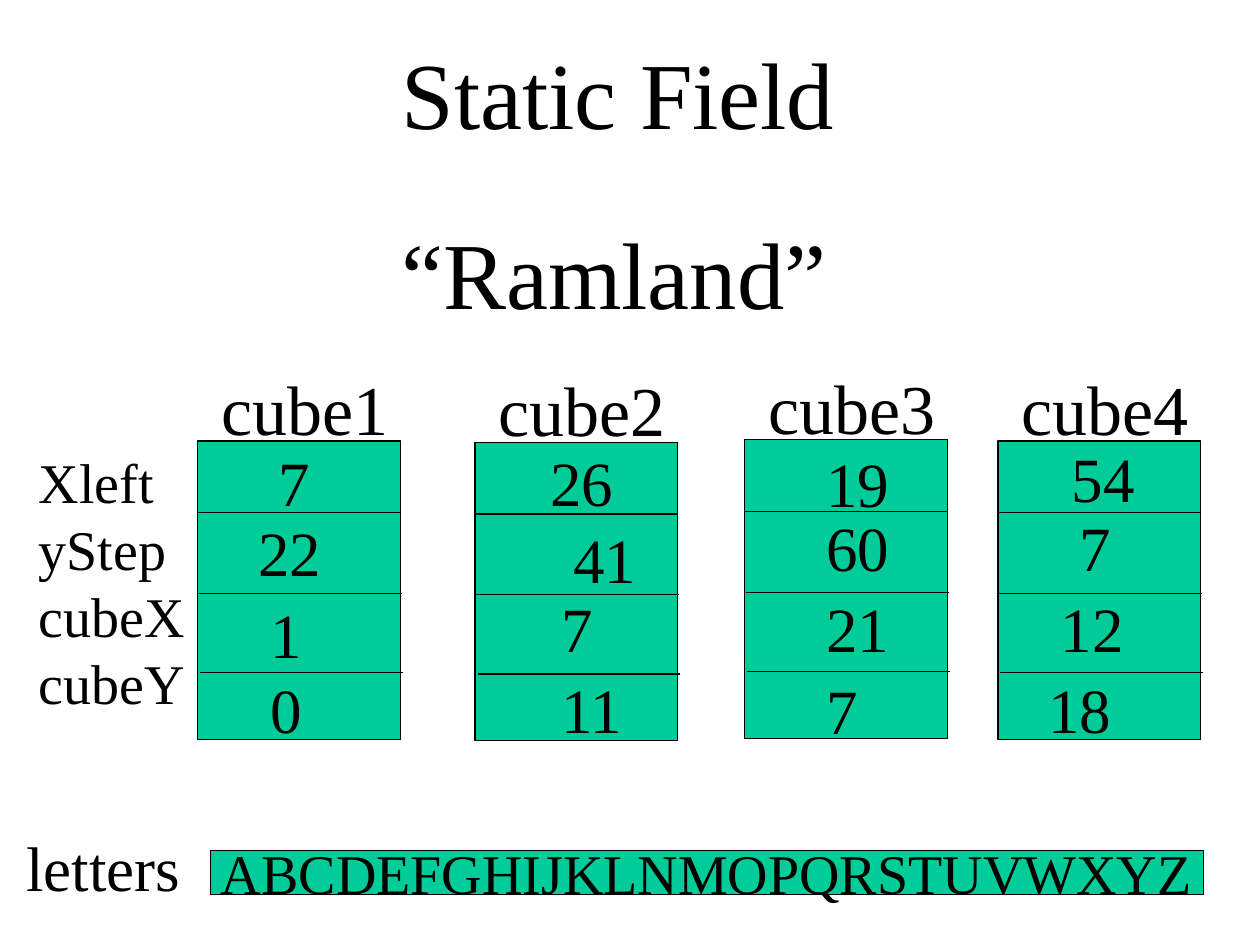
import pptx
import pptx.dml.color
import pptx.enum.shapes
import pptx.enum.text
import pptx.oxml
import pptx.util
from pptx.util import Inches

BLACK = pptx.dml.color.RGBColor(0x00, 0x00, 0x00)
GREEN = pptx.dml.color.RGBColor(0x00, 0xCC, 0x99)
FONT = "Times New Roman"
LINE_WIDTH = pptx.util.Pt(0.75)

CUBE_WIDTH, CUBE_HEIGHT = 1.61, 2.37
DIVIDER_TOPS = (0.57, 1.21, 1.84)
# Name, left and top of each cube, then its fields: value, left and top inside the cube
CUBES = [
    ("cube1", 1.57, 3.5,
     [("7", 0.54, -0.03), ("22", 0.38, 0.53), ("1", 0.48, 1.18), ("0", 0.48, 1.77)]),
    ("cube2", 3.77, 3.51,
     [("26", 0.5, -0.04), ("41", 0.68, 0.57), ("7", 0.59, 1.12), ("11", 0.59, 1.76)]),
    ("cube3", 5.91, 3.49,
     [("19", 0.55, -0.01), ("60", 0.55, 0.5), ("21", 0.55, 1.14), ("7", 0.55, 1.79)]),
    ("cube4", 7.92, 3.5,
     [("54", 0.49, -0.06), ("7", 0.55, 0.49), ("12", 0.4, 1.13), ("18", 0.3, 1.77)]),
]


def write_text(shape, text, size):
    text_frame = shape.text_frame
    text_frame.text = text
    text_frame.word_wrap = False
    for paragraph in text_frame.paragraphs:
        for run in paragraph.runs:
            run.font.name = FONT
            run.font.size = pptx.util.Pt(size)
            run.font.color.rgb = BLACK


def add_label(slide, left, top, width, height, text, size):
    label = slide.shapes.add_textbox(
        Inches(left), Inches(top), Inches(width), Inches(height))
    write_text(label, text, size)
    label.text_frame.auto_size = pptx.enum.text.MSO_AUTO_SIZE.SHAPE_TO_FIT_TEXT


def add_green_box(slide, left, top, width, height):
    box = slide.shapes.add_shape(
        pptx.enum.shapes.MSO_SHAPE.RECTANGLE,
        Inches(left), Inches(top), Inches(width), Inches(height))
    box.shadow.inherit = False
    box.fill.solid()
    box.fill.fore_color.rgb = GREEN
    box.line.color.rgb = BLACK
    box.line.width = LINE_WIDTH
    return box


def add_divider(slide, left, top, width):
    divider = slide.shapes.add_connector(
        pptx.enum.shapes.MSO_CONNECTOR.STRAIGHT,
        Inches(left), Inches(top), Inches(left + width), Inches(top))
    divider.line.color.rgb = BLACK
    divider.line.width = LINE_WIDTH
    properties = divider._element.spPr
    properties.append(pptx.oxml.parse_xml(
        '<a:effectLst xmlns:a="http://schemas.openxmlformats.org/drawingml/2006/main"/>'))


def add_headings(slide, left, top):
    add_label(slide, left, top, 3.64, 1, "Static Field", 54)
    add_label(slide, left, top + 1.43, 3.57, 1, "“Ramland”", 54)


def add_cube(slide, left, top, name, fields):
    add_green_box(slide, left, top, CUBE_WIDTH, CUBE_HEIGHT)
    add_label(slide, left + 0.09, top - 0.65, 1.54, 0.77, name, 40)
    # Each divider sits slightly further right than the one above
    for index, offset in enumerate(DIVIDER_TOPS):
        add_divider(slide, left + 0.01 * index, top + offset, CUBE_WIDTH)
    for value, field_left, field_top in fields:
        add_label(slide, left + field_left, top + field_top,
                  0.2 + 0.25 * len(value), 0.7, value, 36)


def add_letters(slide, left, top):
    add_label(slide, left, top, 1.42, 0.7, "letters", 36)
    strip = add_green_box(slide, left + 1.56, top + 0.22, 7.88, 0.35)
    write_text(strip, "ABCDEFGHIJKLNMOPQRSTUVWXYZ", 32)
    strip.text_frame.vertical_anchor = pptx.enum.text.MSO_ANCHOR.MIDDLE
    strip.text_frame.paragraphs[0].alignment = pptx.enum.text.PP_ALIGN.CENTER


def main():
    presentation = pptx.Presentation()
    presentation.slide_width = Inches(10)
    presentation.slide_height = Inches(7.5)
    slide = presentation.slides.add_slide(presentation.slide_layouts[6])

    add_headings(slide, 3.09, 0.23)
    # Field names beside the cubes
    add_label(slide, 0.21, 3.5, 1.36, 2.24, "Xleft\nyStep\ncubeX\ncubeY", 32)
    for name, left, top, fields in CUBES:
        add_cube(slide, left, top, name, fields)
    add_letters(slide, 0.11, 6.53)

    presentation.save("out.pptx")


if __name__ == "__main__":
    main()
